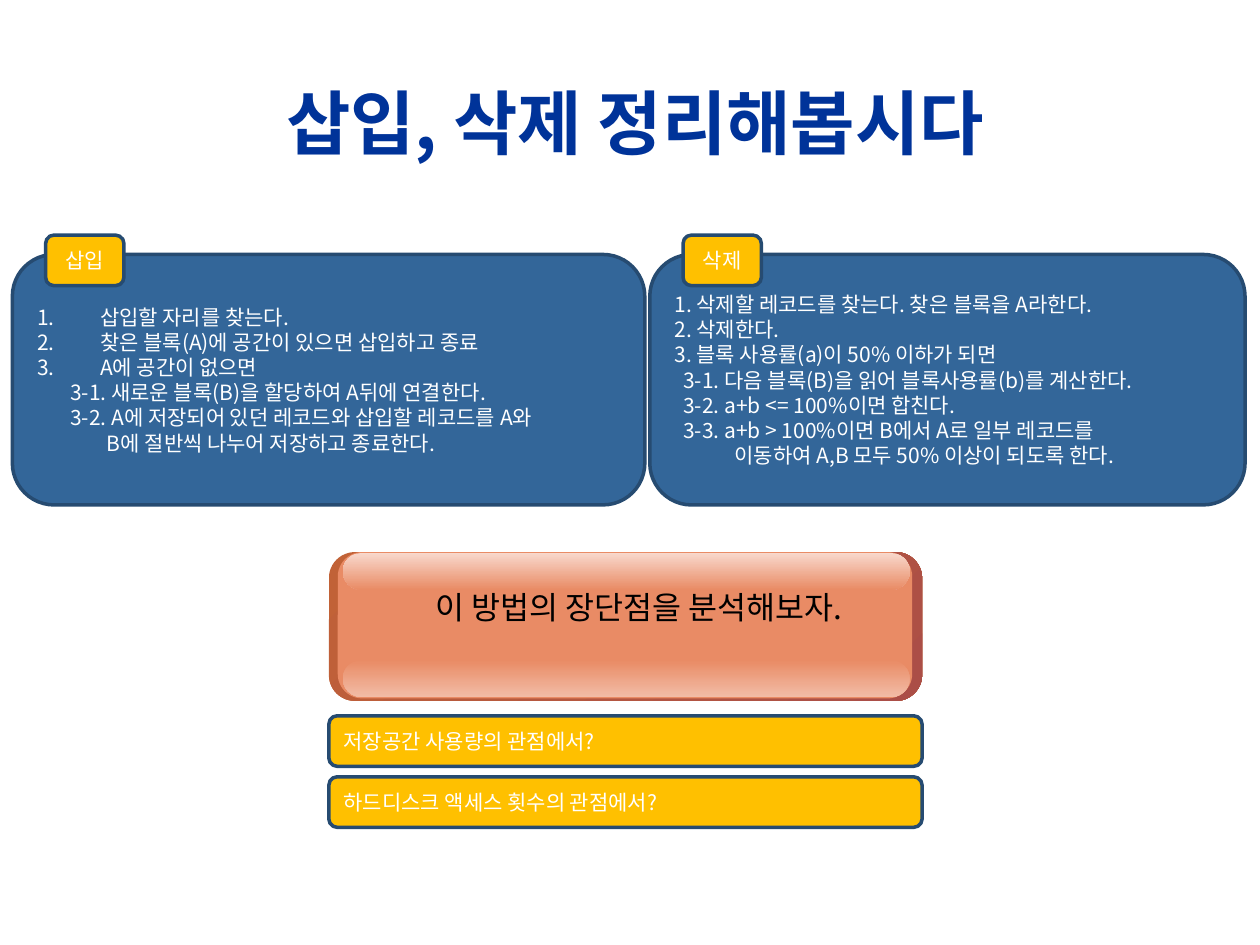
from lxml.etree import SubElement
from pptx import Presentation
from pptx.dml.color import RGBColor
from pptx.enum.shapes import MSO_SHAPE as Shape
from pptx.enum.text import MSO_ANCHOR as Anchor, PP_ALIGN as Align
from pptx.oxml.ns import qn
from pptx.util import Cm, Pt

FONT = "Noto Sans CJK KR"
color = RGBColor.from_string


def add_panel(shapes, place, colors, angle=0, corner=0.167, outlined=False):
    panel = shapes.add_shape(Shape.ROUNDED_RECTANGLE, *map(Cm, place))
    panel.adjustments[0] = corner
    panel.shadow.inherit = False
    if len(colors) == 1:
        panel.fill.solid()
        panel.fill.fore_color.rgb = color(colors[0])
    else:
        panel.fill.gradient()
        panel.fill.gradient_angle = angle
        for stop, shade in zip(panel.fill.gradient_stops, colors):
            stop.color.rgb = color(shade)
    if outlined:
        panel.line.color.rgb = color("264B71")
        panel.line.width = Pt(2)
    else:
        panel.line.fill.background()
    return panel


def write(box, lines, size=12, shade="FFFFFF", align=Align.LEFT, anchor=Anchor.MIDDLE, bold=False):
    frame = box.text_frame
    frame.word_wrap = True
    frame.vertical_anchor = anchor
    for index, (text, left, hanging, numbered) in enumerate(lines):
        para = frame.paragraphs[0] if index == 0 else frame.add_paragraph()
        para.alignment = align
        props = para._p.get_or_add_pPr()
        props.set("marL", str(Cm(left)))
        props.set("indent", str(-Cm(hanging)))
        if numbered:
            SubElement(props, qn("a:buFont"), typeface=FONT)
            SubElement(props, qn("a:buAutoNum"), type="arabicPeriod")
        span = para.add_run()
        span.text = text
        span.font.name = FONT
        span.font.size = Pt(size)
        span.font.bold = bold
        span.font.color.rgb = color(shade)
        SubElement(span._r.get_or_add_rPr(), qn("a:ea"), typeface=FONT)


deck = Presentation()
deck.slide_width, deck.slide_height = Cm(25.4), Cm(19.05)
page = deck.slides.add_slide(deck.slide_layouts[6])

title = page.shapes.add_textbox(Cm(1.9), Cm(1.7), Cm(21.8), Cm(1.48))
write(title, [("삽입, 삭제 정리해봅시다", 0, 0, False)], 40, "003399", Align.CENTER, bold=True)

insert_steps = [
    ("삽입할 자리를 찾는다.", 1.27, 1.27, True),
    ("찾은 블록(A)에 공간이 있으면 삽입하고 종료", 1.27, 1.27, True),
    ("A에 공간이 없으면", 1.27, 1.27, True),
    ("3-1. 새로운 블록(B)을 할당하여 A뒤에 연결한다.", 0.67, 0, False),
    ("3-2. A에 저장되어 있던 레코드와 삽입할 레코드를 A와", 0.67, 0, False),
    ("B에 절반씩 나누어 저장하고 종료한다.", 1.41, 0, False),
]
delete_steps = [
    ("1. 삭제할 레코드를 찾는다. 찾은 블록을 A라한다.", 0, 0, False),
    ("2. 삭제한다.", 0, 0, False),
    ("3. 블록 사용률(a)이 50% 이하가 되면", 0, 0, False),
    ("3-1. 다음 블록(B)을 읽어 블록사용률(b)를 계산한다.", 0.18, 0, False),
    ("3-2. a+b <= 100%이면 합친다.", 0.18, 0, False),
    ("3-3. a+b > 100%이면 B에서 A로 일부 레코드를", 0.18, 0, False),
    ("이동하여 A,B 모두 50% 이상이 되도록 한다.", 1.21, 0, False),
]
for label, left, width, steps in [
    ("삽입", 0.25, 12.75, insert_steps),
    ("삭제", 13.1, 12, delete_steps),
]:
    panel = add_panel(page.shapes, (left, 5.13, width, 5.05), ["336699"], outlined=True)
    write(panel, steps)
    tab = add_panel(page.shapes, (left + 0.67, 4.74, 1.58, 1.02), ["FFC000"], outlined=True)
    write(tab, [(label, 0, 0, False)], align=Align.CENTER)

analysis = page.shapes.add_group_shape().shapes
add_panel(analysis, (6.63, 11.13, 11.96, 3), ["C16237", "AB4E47"], 315, 0.175)
add_panel(analysis, (6.81, 11.13, 11.58, 2.95), ["E98B65"])
for top, shades in [(13.31, ["E98B65", "F2BCA6"]), (11.15, ["F8D8CC", "E98B65"])]:
    add_panel(analysis, (6.91, top, 11.43, 0.74), shades, 270, 0.5)
prompt = analysis.add_textbox(Cm(7.59), Cm(11.73), Cm(10.57), Cm(1.02))
write(prompt, [("이 방법의 장단점을 분석해보자.", 1.42, 1.42, False)], 18, "000000", Align.CENTER, Anchor.TOP)

questions = ["저장공간 사용량의 관점에서?", "하드디스크 액세스 횟수의 관점에서?"]
for row, question in enumerate(questions):
    bar = add_panel(analysis, (6.63, 14.43 + row * 1.23, 11.96, 1.02), ["FFC000"], outlined=True)
    write(bar, [(question, 0, 0, False)])

deck.save("out.pptx")
